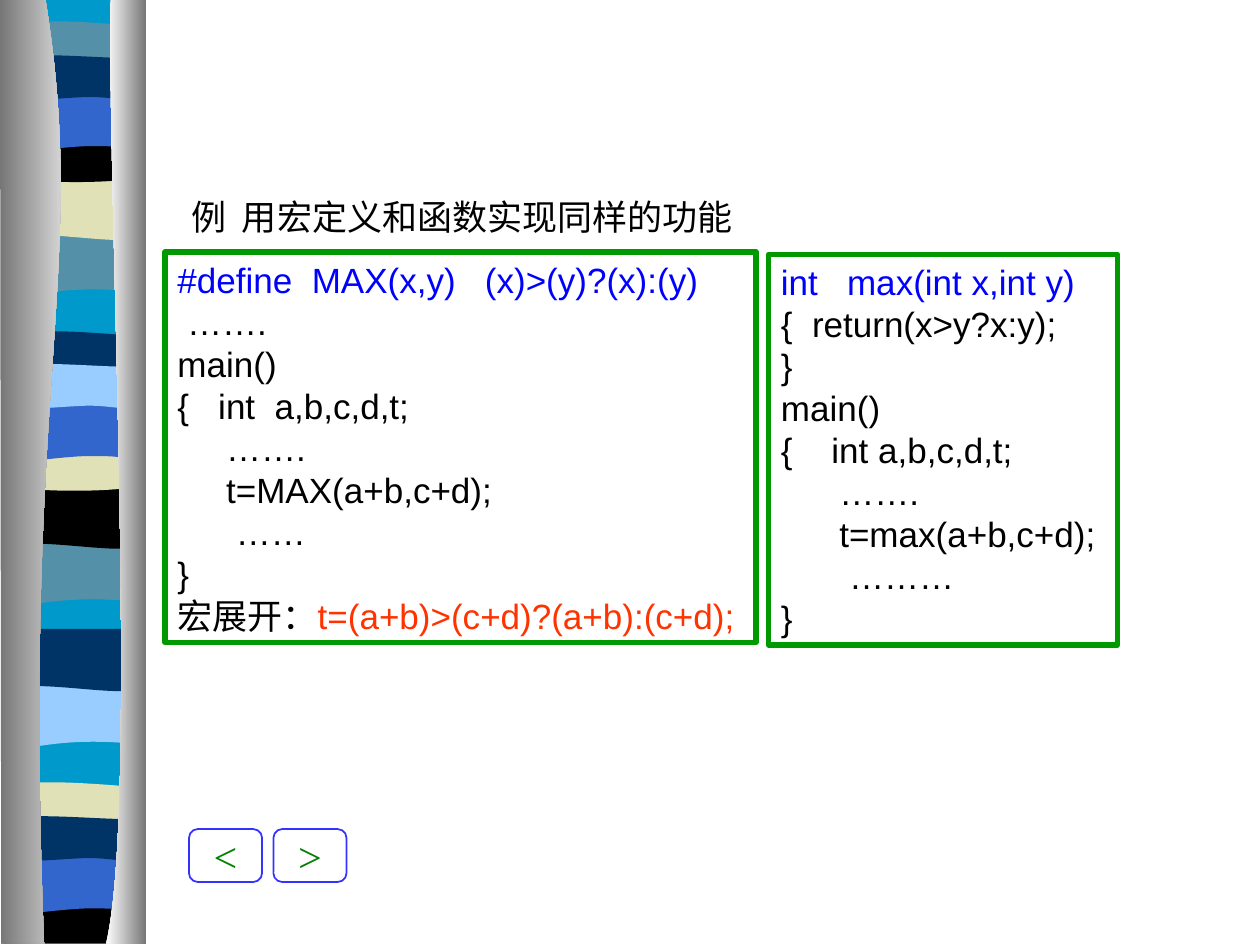
"""Build a slide comparing a macro with a function, beside a striped ribbon."""
from pptx import Presentation
from pptx.dml.color import RGBColor as RGB
from pptx.enum.shapes import MSO_SHAPE as Shape
from pptx.enum.text import MSO_ANCHOR as Anchor, PP_ALIGN as Align
from pptx.oxml.ns import qn
from pptx.util import Inches, Pt

SKY, SLATE, SAND = RGB(0x00, 0x99, 0xCC), RGB(0x54, 0x90, 0xA8), RGB(0xE1, 0xE1, 0xB7)
NAVY, ROYAL, PALE = RGB(0x00, 0x33, 0x66), RGB(0x33, 0x66, 0xCC), RGB(0x99, 0xCC, 0xFF)
BLACK, WHITE, GREY = RGB(0, 0, 0), RGB(0xFF, 0xFF, 0xFF), RGB(0x76, 0x76, 0x76)
BLUE, RED, GREEN = RGB(0, 0, 0xFF), RGB(0xFF, 0x33, 0), RGB(0, 0x80, 0)
FRAME, BUTTON = RGB(0, 0x99, 0), RGB(0x33, 0x33, 0xFF)

TITLE = "例  用宏定义和函数实现同样的功能"
MACRO = [
    (0, [("#define  MAX(x,y)   (x)>(y)?(x):(y)", BLUE)]),
    (1, [("…….", BLACK)]),
    (0, [("main()", BLACK)]),
    (0, [("{   int  a,b,c,d,t;", BLACK)]),
    (5, [("…….", BLACK)]),
    (5, [("t=MAX(a+b,c+d);", BLACK)]),
    (6, [("……", BLACK)]),
    (0, [("}", BLACK)]),
    (0, [("宏展开：", BLACK), ("t=(a+b)>(c+d)?(a+b):(c+d);", RED)]),
]
FUNCTION = [
    (0, [("int   max(int x,int y)", BLUE)]),
    (0, [("{  return(x>y?x:y);", BLACK)]),
    (0, [("}", BLACK)]),
    (0, [("main()", BLACK)]),
    (0, [("{    int a,b,c,d,t;", BLACK)]),
    (6, [("…….", BLACK)]),
    (6, [("t=max(a+b,c+d);", BLACK)]),
    (7, [("………", BLACK)]),
    (0, [("}", BLACK)]),
]
CODE_BOXES = [(MACRO, (1.31, 2, 4.69, 3.1)), (FUNCTION, (6.1, 2.02, 2.77, 3.1))]
BUTTONS = ["<", ">"]
BUTTON_LEFT, BUTTON_PITCH = 1.5, 0.67
INDENT_STEP = Pt(5.56)

WAVES = {
    "swell": [(1.08, 0), (1.08, 0.47), (0.33, 0.39, 0.18, 0.55, 0, 0.47), (0, 0)],
    "roll": [(1.08, 0), (1.08, 0.47), (0.9, 0.55, 0.33, 0.41, 0, 0.47), (0, 0)],
    "thin": [(1.08, 0.05), (1.08, 0.29), (0.9, 0.33, 0.18, 0.33, 0, 0.29), (0, 0.05),
             (0.06, 0, 0.23, 0.01, 0.41, 0.01), (0.59, 0.01, 0.94, 0.04, 1.08, 0.05)],
    "bowl": [(1.08, 0), (1.08, 0.32), (0.9, 0.38, 0.18, 0.38, 0, 0.32), (0, 0),
             (0.66, 0.05, 0.85, 0, 1.08, 0)],
    "arch": [(1.08, 0), (1.08, 0.47), (0.91, 0.42, 0.84, 0.42, 0.66, 0.42),
             (0.48, 0.42, 0.16, 0.47, 0, 0.47), (0, 0)],
    "flag": [(1.08, 0.05), (1.08, 0.36), (1.01, 0.41, 0.84, 0.36, 0.66, 0.36),
             (0.48, 0.36, 0.11, 0.41, 0, 0.36), (0, 0.05),
             (0.15, 0, 0.73, 0.05, 0.91, 0.05), (1.09, 0.05, 1.04, 0.05, 1.08, 0.05)],
    "foot": [(1.08, 0), (1.08, 0.37), (0, 0.37), (0, 0), (0.66, 0.05, 0.85, 0, 1.08, 0)],
    "base": [(1.08, 0), (1.08, 7.48), (0, 7.48), (0, 0)],
}
STRIPES = [
    ("base", SKY, 0.06, -0.01),
    ("swell", SLATE, 0.06, 1.85), ("roll", SAND, 0.06, 1.41), ("thin", SLATE, 0.06, 0.16),
    ("bowl", BLACK, 0.06, 1.08), ("arch", ROYAL, 0.06, 0.74), ("flag", NAVY, 0.06, 0.41),
    ("swell", SLATE, 0.05, 4.31), ("roll", BLACK, 0.05, 3.86), ("thin", NAVY, 0.05, 2.62),
    ("bowl", SAND, 0.05, 3.53), ("arch", ROYAL, 0.05, 3.2), ("flag", PALE, 0.05, 2.86),
    ("swell", PALE, 0.06, 5.44), ("roll", NAVY, 0.06, 4.99), ("thin", SAND, 0.05, 6.2),
    ("foot", BLACK, 0.05, 7.12), ("arch", ROYAL, 0.05, 6.79), ("flag", NAVY, 0.05, 6.45),
]
COLUMNS = [
    ([(0.36, -0.01), (0.71, 2.16, 0.17, 2.96, 0.35, 7.49), (0.01, 7.49), (0, -0.01)],
     (GREY, WHITE)),
    ([(0.88, -0.01), (0.84, 1.25, 1.11, 6.46, 0.84, 7.49), (1.16, 7.49), (1.16, 0)],
     (WHITE, GREY)),
]


def add_outline(slide, steps, left=0, top=0):
    points = [(Inches(left + x), Inches(top + y))
              for step in steps for x, y in zip(step[::2], step[1::2])]
    builder = slide.shapes.build_freeform(*points[0])
    builder.add_line_segments(points[1:], close=True)
    outline = builder.convert_to_shape()
    segments = iter(list(outline._element.iter(qn("a:lnTo"))))
    for step in steps[1:]:
        segment = next(segments)
        if len(step) == 6:
            segment.tag = qn("a:cubicBezTo")
            for follower in (next(segments), next(segments)):
                segment.append(follower[0])
                follower.getparent().remove(follower)
    outline.shadow.inherit = False
    outline.line.fill.background()
    return outline


def add_panel(slide, preset, place, colour, width):
    panel = slide.shapes.add_shape(preset, *map(Inches, place))
    panel.shadow.inherit = False
    panel.fill.background()
    panel.line.color.rgb = colour
    panel.line.width = Pt(width)
    return panel


def write(holder, lines, font_name, size, align=Align.LEFT):
    frame = holder.text_frame
    layout = {"word_wrap": False, "vertical_anchor": Anchor.MIDDLE,
              "margin_left": Inches(0.1), "margin_right": Inches(0.1),
              "margin_top": Inches(0.05), "margin_bottom": Inches(0.05)}
    for key, value in layout.items():
        setattr(frame, key, value)
    for number, (indent, pieces) in enumerate(lines):
        line = frame.add_paragraph() if number else frame.paragraphs[0]
        line.alignment = align
        if indent:
            line._p.get_or_add_pPr().set("marL", str(indent * INDENT_STEP))
        for words, colour in pieces:
            run = line.add_run()
            run.text = words
            for key, value in {"name": font_name, "size": Pt(size)}.items():
                setattr(run.font, key, value)
            run.font.color.rgb = colour


def main():
    deck = Presentation()
    deck.slide_width, deck.slide_height = Inches(10), Inches(7.5)
    slide = deck.slides.add_slide(deck.slide_layouts[6])

    for wave, colour, left, top in STRIPES:
        stripe = add_outline(slide, WAVES[wave], left, top)
        stripe.fill.solid()
        stripe.fill.fore_color.rgb = colour
    for steps, shades in COLUMNS:
        column = add_outline(slide, steps)
        column.fill.gradient()
        column.fill.gradient_angle = 0
        for stop, shade in zip(column.fill.gradient_stops, shades):
            stop.color.rgb = shade

    for code, place in CODE_BOXES:
        write(add_panel(slide, Shape.RECTANGLE, place, FRAME, 3), code, "Arial", 20)
    heading = slide.shapes.add_textbox(*map(Inches, (1.42, 1.5, 4.5, 0.44)))
    write(heading, [(0, [(TITLE, BLACK)])], "Times New Roman", 20)

    for position, sign in enumerate(BUTTONS):
        place = (BUTTON_LEFT + position * BUTTON_PITCH, 6.58, 0.58, 0.42)
        button = add_panel(slide, Shape.ROUNDED_RECTANGLE, place, BUTTON, 1)
        write(button, [(0, [(sign, GREEN)])], "Times New Roman", 24, Align.CENTER)

    deck.save("out.pptx")


if __name__ == "__main__":
    main()
